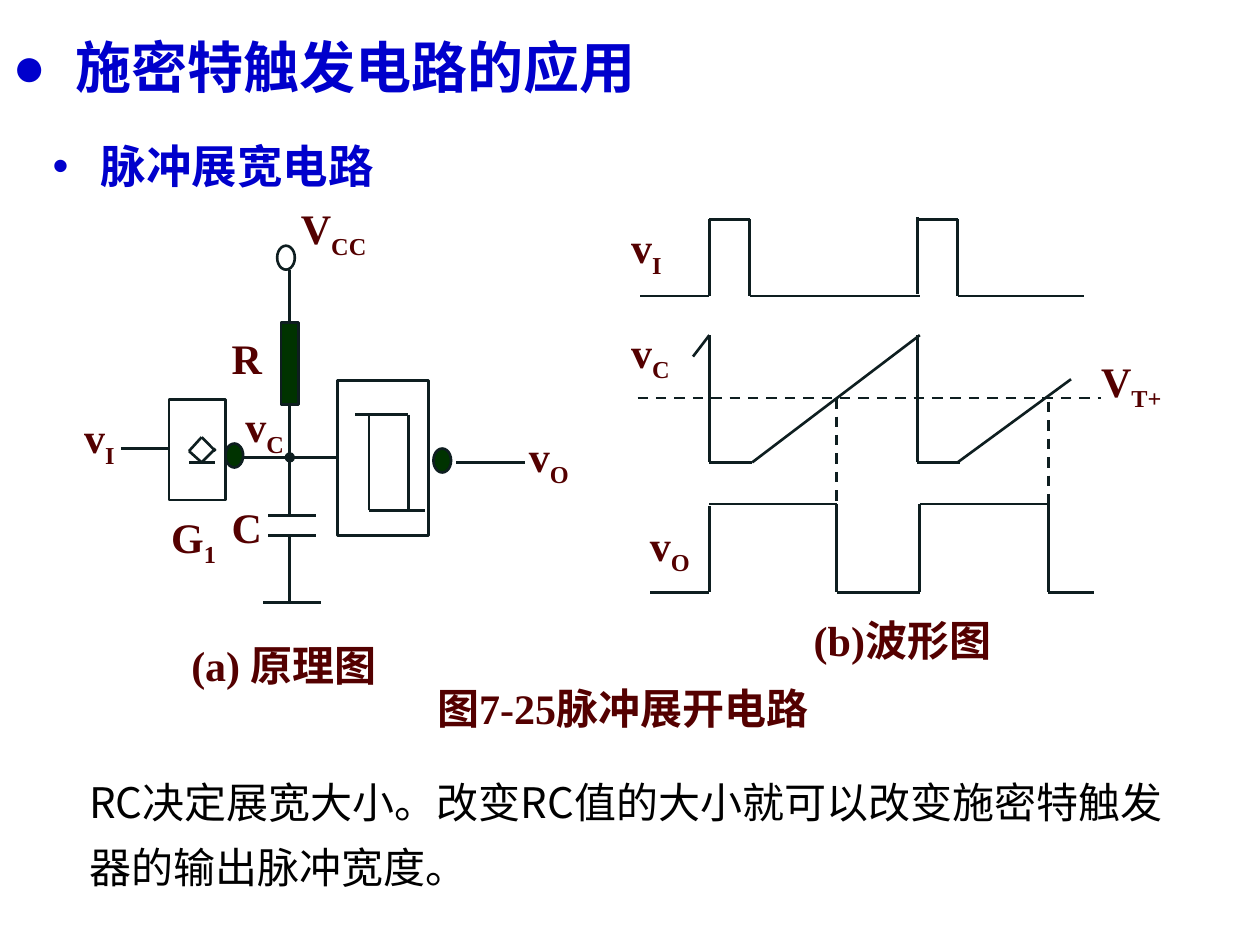
from itertools import pairwise

from lxml import etree
from pptx import Presentation
from pptx.dml.color import RGBColor
from pptx.enum.dml import MSO_LINE
from pptx.enum.shapes import MSO_CONNECTOR, MSO_SHAPE
from pptx.enum.text import PP_ALIGN
from pptx.oxml.ns import qn
from pptx.util import Inches, Pt

BLUE = RGBColor(0x00, 0x00, 0xCC)
MAROON = RGBColor(0x54, 0x00, 0x00)
INK = RGBColor(0x0E, 0x1E, 0x20)
GREEN = RGBColor(0x00, 0x33, 0x00)
WHITE = RGBColor(0xFF, 0xFF, 0xFF)
BLACK = RGBColor(0x00, 0x00, 0x00)
SERIF, SANS, CJK = "Times New Roman", "Arial", "Noto Sans CJK SC"
STRAIGHT = MSO_CONNECTOR.STRAIGHT
RECT, OVAL = MSO_SHAPE.RECTANGLE, MSO_SHAPE.OVAL
DASH = MSO_LINE.DASH
JUSTIFY = PP_ALIGN.JUSTIFY
COLUMNS, ROWS = 10, 7.5  # the grid has cells of one inch
CIRCLE = (0.14, 0.19)


class Diagram:
    """Draws on one slide; every length is in grid columns and rows."""

    def __init__(self, deck):
        self.cell = Inches(1)
        deck.slide_width = self.length(COLUMNS)
        deck.slide_height = self.length(ROWS)
        self.page = deck.slides.add_slide(deck.slide_layouts[6])

    def length(self, cells):
        return round(cells * self.cell)

    def place(self, *cells):
        return [self.length(value) for value in cells]

    def shape(self, kind, left, top, width, height, fill=None, outlined=True):
        shape = self.page.shapes.add_shape(kind, *self.place(left, top, width, height))
        shape.shadow.inherit = False
        if fill is None:
            shape.fill.background()
        else:
            shape.fill.solid()
            shape.fill.fore_color.rgb = fill
        if outlined:
            shape.line.color.rgb = INK
            shape.line.width = Pt(1.5)
        else:
            shape.line.fill.background()
        return shape

    def path_lines(self, *points, dash=None):
        """Join the points one after another with straight lines."""
        for start, end in pairwise(points):
            line = self.page.shapes.add_connector(STRAIGHT, *self.place(*start, *end))
            line.line.color.rgb = INK
            line.line.width = Pt(1.5)
            if dash is not None:
                line.line.dash_style = dash
            etree.SubElement(line._element.spPr, qn("a:effectLst"))
        return line

    def junction(self, start, end):
        """A line with a round dot at its start."""
        line = self.path_lines(start, end)
        outline = line.line._get_or_add_ln()
        etree.SubElement(outline, qn("a:headEnd"), type="oval")

    def text_box(self, left, top, width, height):
        return self.page.shapes.add_textbox(*self.place(left, top, width, height))

    def span(self, para, text, size, font, color, bold=True, subscript=False):
        span = para.add_run()
        span.text = text
        span.font.size = Pt(size)
        span.font.name = font
        span.font.bold = bold
        span.font.color.rgb = color
        properties = span.font._element
        etree.SubElement(properties, qn("a:ea"), typeface=CJK)
        if subscript:
            properties.set("baseline", "-25000")

    def label(self, left, top, width, height, text, subscript=""):
        frame = self.text_box(left, top, width, height).text_frame
        frame.word_wrap = True
        para = frame.paragraphs[0]
        para.alignment = JUSTIFY
        self.span(para, text, 24, SERIF, MAROON)
        if subscript:
            self.span(para, subscript, 24, SERIF, MAROON, subscript=True)

    def bullet(self, box, text, size, font, mark, indent, after):
        frame = box.text_frame
        frame.word_wrap = True
        para = frame.paragraphs[0]
        para.alignment = PP_ALIGN.LEFT
        para.line_spacing = 1.2
        para.space_before, para.space_after = Pt(6), Pt(after)
        properties = para._p.get_or_add_pPr()
        properties.set("marL", str(self.length(indent)))
        properties.set("indent", str(-self.length(indent)))
        etree.SubElement(properties, qn("a:buFont"), typeface=SANS)
        etree.SubElement(properties, qn("a:buChar"), char=mark)
        self.span(para, text, size, font, BLUE)

    def paragraph(self, box, text):
        frame = box.text_frame
        frame.word_wrap = True
        para = frame.paragraphs[0]
        para.line_spacing = 1.3
        self.span(para, text, 24, CJK, BLACK, bold=False)


def draw_headings(diagram):
    diagram.shape(RECT, 0.03, -0.01, 9.91, 1.11, WHITE, outlined=False)
    title = diagram.shape(RECT, 0, 0.13, 9, 0.69, WHITE, outlined=False)
    diagram.bullet(title, "施密特触发电路的应用", 32, CJK, "●", 0.5, 3)
    subtitle = diagram.text_box(0.32, 0.96, 9.53, 0.69)
    diagram.bullet(subtitle, "脉冲展宽电路", 26, SANS, "•", 0.38, 1)


def draw_circuit(diagram):
    wire_x, node_y = 2.3, 3.63
    diagram.shape(RECT, 1.34, 3.17, 0.45, 0.8)
    diagram.shape(RECT, 2.68, 3.02, 0.72, 1.23)
    diagram.shape(RECT, 2.23, 2.56, 0.14, 0.65, GREEN)
    for left, top, fill in ((3.44, 3.56, GREEN), (2.2, 1.95, WHITE), (1.79, 3.52, GREEN)):
        diagram.shape(OVAL, left, top, *CIRCLE, fill)

    for points in (
        [(0.96, 3.56), (1.34, 3.56)],
        [(1.92, node_y), (2.68, node_y)],
        [(3.62, 3.67), (4.17, 3.67)],
        [(wire_x, 2.14), (wire_x, 2.56)],
        [(wire_x, 3.21), (wire_x, node_y)],
        [(wire_x, 4.25), (wire_x, 4.78)],
        [(2.09, 4.78), (2.55, 4.78)],
        [(2.82, 3.29), (3.24, 3.29), (3.24, 4.05)],
        [(3.37, 4.05), (2.93, 4.05), (2.93, 3.29)],
        [(1.71, 3.56), (1.6, 3.67), (1.5, 3.58), (1.6, 3.47), (1.71, 3.58)],
        [(1.5, 3.67), (1.71, 3.67)],
    ):
        diagram.path_lines(*points)
    for plate_y in (4.09, 4.25):
        diagram.path_lines((2.13, plate_y), (2.51, plate_y))
    diagram.junction((wire_x, node_y), (wire_x, 4.09))

    for left, top, text, subscript in (
        (2.29, 1.56, "V", "CC"),
        (0.57, 3.22, "v", "I"),
        (4.1, 3.37, "v", "O"),
        (1.26, 4.01, "G", "1"),
        (1.74, 2.59, "R", ""),
        (1.74, 3.93, "C", ""),
        (1.85, 3.13, "v", "C"),
    ):
        diagram.label(left, top, 1, 0.92, text, subscript)
    diagram.label(1.42, 5.03, 2.24, 0.63, "(a) 原理图")


def draw_waveforms(diagram):
    rise, second_rise = 5.63, 7.28
    low, high = 2.35, 1.74
    diagram.path_lines((5.08, low), (rise, low), (rise, high), (5.95, high),
                       (5.95, low), (7.3, low))
    diagram.path_lines((second_rise, 2.33), (second_rise, 1.72))
    diagram.path_lines((second_rise, high), (7.6, high), (7.6, low), (8.6, low))

    peak, floor, threshold = 2.66, 3.67, 3.16
    diagram.path_lines((5.5, 2.83), (rise, peak), (rise, floor), (5.97, floor), (7.3, peak))
    diagram.path_lines((second_rise, peak), (second_rise, floor), (7.62, floor))
    diagram.path_lines((7.6, floor), (8.5, 3.01))
    diagram.path_lines((5.06, threshold), (8.74, threshold), dash=DASH)

    top, bottom = 4, 4.7
    fall, second_fall = 6.64, 8.32
    diagram.path_lines((5.16, bottom), (rise, bottom), (rise, 4.02))
    diagram.path_lines((rise, top), (fall, top), (fall, bottom), (7.3, bottom), (7.3, top),
                       (second_fall, top), (second_fall, bottom), (8.68, bottom))
    for x, start in ((fall, threshold), (second_fall, 3.19)):
        diagram.path_lines((x, start), (x, 4.02), dash=DASH)

    for left, label_top, width, text, subscript in (
        (4.91, 1.71, 0.59, "v", "I"),
        (5.06, 4.07, 0.59, "v", "O"),
        (4.91, 2.54, 0.59, "v", "C"),
        (8.64, 2.77, 0.97, "V", "T+"),
    ):
        diagram.label(left, label_top, width, 0.68, text, subscript)
    diagram.label(6.36, 4.83, 1.83, 0.61, "(b)波形图")


def main():
    deck = Presentation()
    diagram = Diagram(deck)
    draw_headings(diagram)
    draw_circuit(diagram)
    draw_waveforms(diagram)
    diagram.label(3.37, 5.37, 3.42, 0.68, "图7-25脉冲展开电路")
    body = diagram.text_box(0.61, 5.99, 8.85, 1.09)
    diagram.paragraph(body, "RC决定展宽大小。改变RC值的大小就可以改变施密特触发器的输出脉冲宽度。")
    deck.save("out.pptx")


if __name__ == "__main__":
    main()
